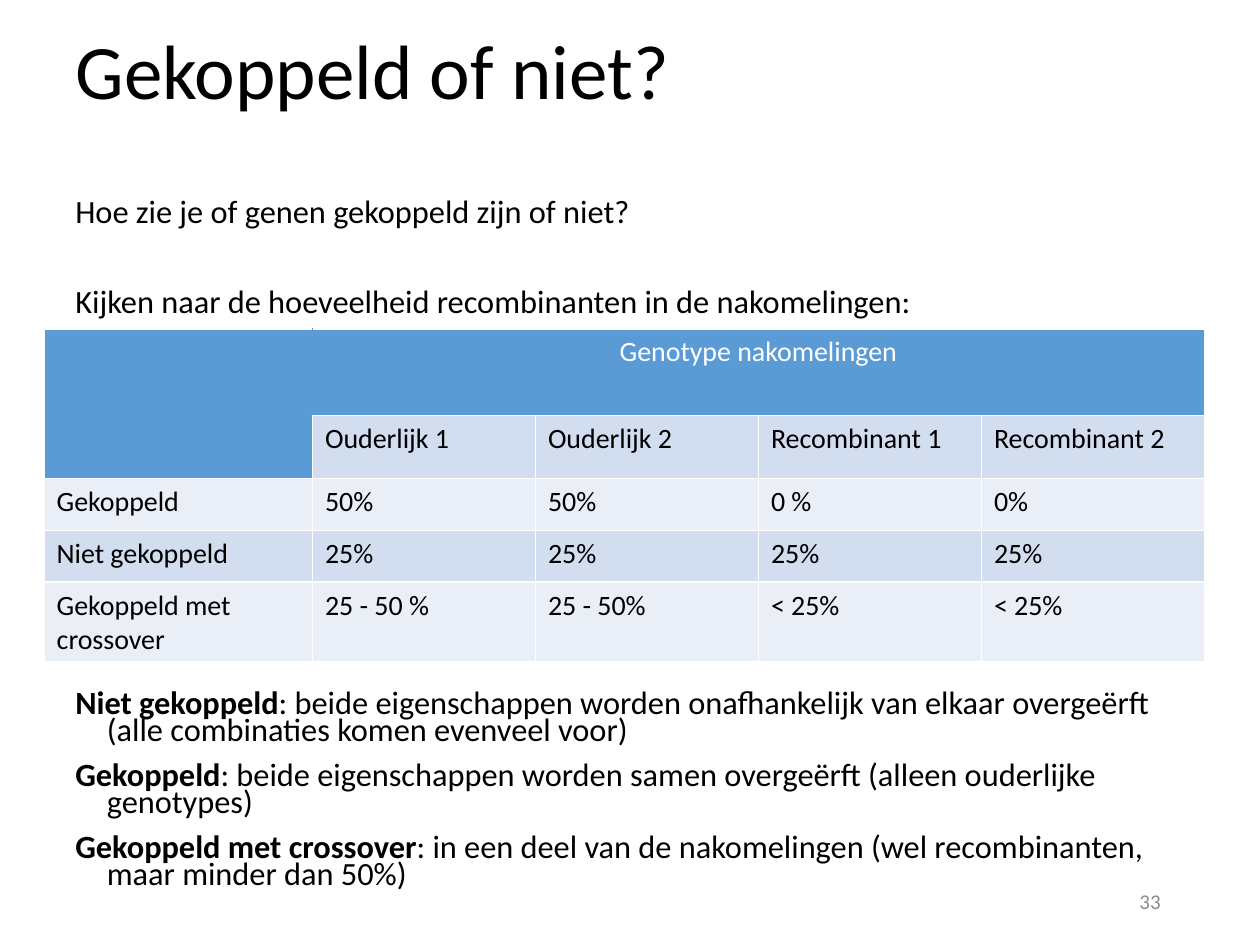
"""Build a slide on recognising linked genes from the offspring."""
from lxml import etree
from pptx import Presentation
from pptx.dml.color import RGBColor
from pptx.enum.text import MSO_ANCHOR, PP_ALIGN
from pptx.oxml.ns import qn
from pptx.util import Inches, Pt

LEFT, CENTER, RIGHT = PP_ALIGN.LEFT, PP_ALIGN.CENTER, PP_ALIGN.RIGHT
TOP, MIDDLE = MSO_ANCHOR.TOP, MSO_ANCHOR.MIDDLE
BLACK = RGBColor(0x00, 0x00, 0x00)
WHITE = RGBColor(0xFF, 0xFF, 0xFF)
GREY = RGBColor(0x8C, 0x8C, 0x8C)
BLUE = RGBColor(0x5B, 0x9B, 0xD5)
BAND_DARK = RGBColor(0xD2, 0xDE, 0xEF)
BAND_LIGHT = RGBColor(0xEA, 0xEF, 0xF7)
FONT = "Calibri"

QUESTIONS = [
    ("", "Hoe zie je of genen gekoppeld zijn of niet?"),
    ("", "Kijken naar de hoeveelheid recombinanten in de nakomelingen:"),
]
DEFINITIONS = [
    ("Niet gekoppeld", ": beide eigenschappen worden onafhankelijk van elkaar overgeërft "
     "(alle combinaties komen evenveel voor)"),
    ("Gekoppeld", ": beide eigenschappen worden samen overgeërft (alleen ouderlijke genotypes)"),
    ("Gekoppeld met crossover", ": in een deel van de nakomelingen "
     "(wel recombinanten, maar minder dan 50%)"),
]
TABLE_ROWS = [
    ["", "Genotype nakomelingen", "", "", ""],
    ["", "Ouderlijk 1", "Ouderlijk 2", "Recombinant 1", "Recombinant 2"],
    ["Gekoppeld", "50%", "50%", "0 %", "0%"],
    ["Niet gekoppeld", "25%", "25%", "25%", "25%"],
    ["Gekoppeld met crossover", "25 - 50 %", "25 - 50%", "< 25%", "< 25%"],
]
COLUMN_WIDTHS = [2.13] + [1.77] * 4
ROW_HEIGHTS = [0.69, 0.5] + [0.41] * 3


def format_paragraph(paragraph, size, color, alignment=LEFT):
    """Set the font and alignment of a paragraph."""
    paragraph.alignment = alignment
    paragraph.font.name = FONT
    paragraph.font.size = Pt(size)
    paragraph.font.color.rgb = color


def set_title(slide, text):
    """Place and format the title placeholder."""
    title = slide.shapes.title
    title.left, title.top = Inches(0.5), Inches(-0.03)
    title.width, title.height = Inches(9), Inches(1.25)
    title.text_frame.text = text
    title.text_frame.vertical_anchor = MIDDLE
    paragraph = title.text_frame.paragraphs[0]
    format_paragraph(paragraph, 44, BLACK)
    paragraph.line_spacing = 0.9


def add_text_frame(slide, left, top, width, height, anchor=TOP):
    """Add a wrapping text box and return its text frame."""
    box = slide.shapes.add_textbox(Inches(left), Inches(top), Inches(width), Inches(height))
    box.text_frame.word_wrap = True
    box.text_frame.vertical_anchor = anchor
    return box.text_frame


def add_statements(slide, top, height, statements, gap):
    """Add paragraphs with a hanging indent and an optional bold term."""
    frame = add_text_frame(slide, 0.5, top, 9, height)
    for index, (term, text) in enumerate(statements):
        paragraph = frame.add_paragraph() if index else frame.paragraphs[0]
        properties = paragraph._p.get_or_add_pPr()
        properties.set("marL", str(Inches(0.25)))
        properties.set("indent", str(Inches(-0.25)))
        format_paragraph(paragraph, 18.5, BLACK)
        paragraph.line_spacing = 0.7
        paragraph.space_before = Pt(gap if index else 0)
        if term:
            run = paragraph.add_run()
            run.text = term
            run.font.bold = True
        paragraph.add_run().text = text


def set_borders(cell, **colors):
    """Draw one-point cell borders, white unless a side has its own colour."""
    properties = cell._tc.get_or_add_tcPr()
    for position, side in enumerate("LRTB"):
        line = etree.Element(qn(f"a:ln{side}"), w=str(Pt(1)))
        fill = etree.SubElement(line, qn("a:solidFill"))
        etree.SubElement(fill, qn("a:srgbClr"), val=str(colors.get(side, WHITE)))
        properties.insert(position, line)


def add_genotype_table(slide):
    """Add the table of genotype shares among the offspring."""
    frame = slide.shapes.add_table(
        len(TABLE_ROWS), len(COLUMN_WIDTHS), Inches(0.35), Inches(2.61),
        Inches(sum(COLUMN_WIDTHS)), Inches(sum(ROW_HEIGHTS)))
    table = frame.table
    table.first_row = table.horz_banding = False
    for column, width in zip(table.columns, COLUMN_WIDTHS):
        column.width = Inches(width)
    for row, height in zip(table.rows, ROW_HEIGHTS):
        row.height = Inches(height)
    for row_index, texts in enumerate(TABLE_ROWS):
        for column_index, text in enumerate(texts):
            cell = table.cell(row_index, column_index)
            header = row_index == 0 or (row_index == 1 and column_index == 0)
            band = BAND_DARK if row_index % 2 else BAND_LIGHT
            cell.fill.solid()
            cell.fill.fore_color.rgb = BLUE if header else band
            cell.text = text
            format_paragraph(cell.text_frame.paragraphs[0], 16,
                             WHITE if header else BLACK, CENTER if header else LEFT)
            if row_index == 0:
                set_borders(cell, **{"L" if column_index else "R": BLUE})
            else:
                set_borders(cell)
    table.cell(0, 0).merge(table.cell(1, 0))
    table.cell(0, 1).merge(table.cell(0, 4))


def add_page_number(slide, number):
    """Add the page number at the bottom right."""
    frame = add_text_frame(slide, 7.06, 6.95, 2.25, 0.4, MIDDLE)
    frame.text = number
    format_paragraph(frame.paragraphs[0], 12, GREY, RIGHT)


def main():
    """Build and save the presentation."""
    presentation = Presentation()
    presentation.slide_width, presentation.slide_height = Inches(10), Inches(7.5)
    slide = presentation.slides.add_slide(presentation.slide_layouts[5])
    set_title(slide, "Gekoppeld of niet?")
    add_statements(slide, 1.55, 1.05, QUESTIONS, 35.8)
    add_statements(slide, 5.45, 1.9, DEFINITIONS, 10)
    add_genotype_table(slide)
    add_page_number(slide, "33")
    presentation.save("out.pptx")


if __name__ == "__main__":
    main()
